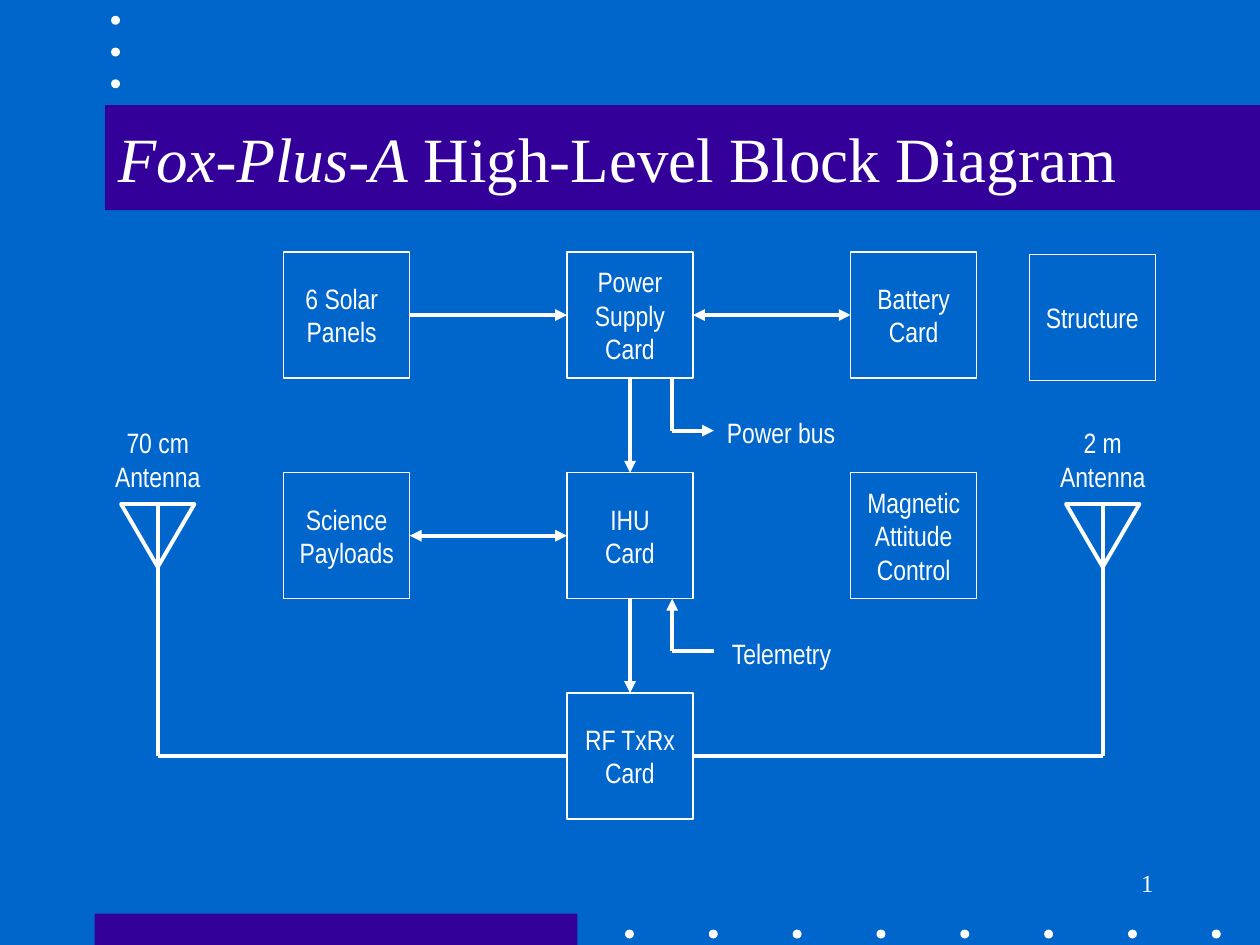
"""Build the Fox-Plus-A high-level block diagram slide."""
from typing import NamedTuple

from lxml import etree
from pptx import Presentation
from pptx.dml.color import RGBColor
from pptx.enum import shapes, text
from pptx.oxml import ns
from pptx.util import Cm, Pt

BLUE = RGBColor(0x00, 0x66, 0xCC)
PURPLE = RGBColor(0x33, 0x00, 0x99)
WHITE = RGBColor(0xFF, 0xFF, 0xFF)
SERIF, NARROW = "Times New Roman", "Arial Narrow"
SIDE = 2.54
COLS = (5.72, 11.43, 17.15)
ROWS = (5.08, 9.53, 13.97)
MID = SIDE / 2
BUS_X, BUS_END = 13.55, 14.39
POWER_Y, TELEMETRY_Y = 8.68, 13.13
RF_Y = ROWS[2] + MID
ANTENNA_TOP = 10.16


class Block(NamedTuple):
    lines: str
    left: float
    top: float
    shift: float = 0


class Link(NamedTuple):
    x1: float
    y1: float
    x2: float
    y2: float
    head: bool = False
    tail: bool = False


class Label(NamedTuple):
    lines: str
    left: float
    top: float
    width: float
    height: float


class Antenna(NamedTuple):
    band: str
    x: float
    card_edge: float


BLOCKS = (
    Block("6 Solar\nPanels", COLS[0], ROWS[0], 0.2),
    Block("Power\nSupply\nCard", COLS[1], ROWS[0]),
    Block("Battery\nCard", COLS[2], ROWS[0]),
    Block("Structure", 20.75, 5.13),
    Block("Science\nPayloads", COLS[0], ROWS[1]),
    Block("IHU\nCard", COLS[1], ROWS[1]),
    Block("Magnetic Attitude\nControl", COLS[2], ROWS[1]),
    Block("RF TxRx\nCard", COLS[1], ROWS[2]),
)
LINKS = (
    Link(COLS[0] + SIDE, ROWS[0] + MID, COLS[1], ROWS[0] + MID, tail=True),
    Link(COLS[1] + SIDE, ROWS[0] + MID, COLS[2], ROWS[0] + MID, True, True),
    Link(COLS[0] + SIDE, ROWS[1] + MID, COLS[1], ROWS[1] + MID, True, True),
    Link(COLS[1] + MID, ROWS[0] + SIDE, COLS[1] + MID, ROWS[1], tail=True),
    Link(COLS[1] + MID, ROWS[1] + SIDE, COLS[1] + MID, ROWS[2], tail=True),
    Link(BUS_X, POWER_Y, BUS_X, ROWS[0] + SIDE),
    Link(BUS_X, POWER_Y, BUS_END, POWER_Y, tail=True),
    Link(BUS_X, TELEMETRY_Y, BUS_X, ROWS[1] + SIDE, tail=True),
    Link(BUS_X, TELEMETRY_Y, BUS_END, TELEMETRY_Y),
)
LABELS = (
    Label("Power bus", 14.4, 8.26, 2.69, 0.94),
    Label("Telemetry", 14.47, 12.7, 2.57, 0.94),
)
ANTENNAS = (
    Antenna("70 cm", 3.18, COLS[1]),
    Antenna("2 m", 22.23, COLS[1] + SIDE),
)


def style(p, size: float, name: str, align) -> None:
    p.alignment = align
    p.font.size, p.font.name = Pt(size), name
    p.font.color.rgb = WHITE


def write(tf, lines: str, wrap: bool) -> None:
    tf.word_wrap = wrap
    tf.text = lines
    for p in tf.paragraphs:
        style(p, 16, NARROW, text.PP_ALIGN.CENTER)


def add_solid(s, kind, left: float, top: float, width: float, height: float, color: RGBColor) -> None:
    sp = s.shapes.add_shape(kind, Cm(left), Cm(top), Cm(width), Cm(height))
    sp.shadow.inherit = False
    sp.fill.solid()
    sp.fill.fore_color.rgb = color
    sp.line.fill.background()


def add_outline(s, kind, left: float, top: float, width: float, height: float, weight: float):
    sp = s.shapes.add_shape(kind, Cm(left), Cm(top), Cm(width), Cm(height))
    sp.shadow.inherit = False
    sp.fill.background()
    sp.line.color.rgb = WHITE
    sp.line.width = Pt(weight)
    return sp


def add_block(s, block: Block) -> None:
    sp = add_outline(s, shapes.MSO_SHAPE.RECTANGLE, block.left, block.top, SIDE, SIDE, 0.75)
    tf = sp.text_frame
    tf.vertical_anchor = text.MSO_ANCHOR.MIDDLE
    tf.margin_left = Cm(0.25 - block.shift / 2)
    tf.margin_right = Cm(0.25 + block.shift / 2)
    write(tf, block.lines, True)


def add_link(s, link: Link) -> None:
    ends = map(Cm, link[:4])
    c = s.shapes.add_connector(shapes.MSO_CONNECTOR.STRAIGHT, *ends)
    c.line.color.rgb = WHITE
    c.line.width = Pt(2.25)
    ln = c.line._get_or_add_ln()
    for tag, shown in (("a:headEnd", link.head), ("a:tailEnd", link.tail)):
        if shown:
            etree.SubElement(ln, ns.qn(tag), type="triangle")
    etree.SubElement(c._element.spPr, ns.qn("a:effectLst"))


def add_label(s, label: Label) -> None:
    sp = s.shapes.add_textbox(*map(Cm, label[1:]))
    write(sp.text_frame, label.lines, False)


def add_antenna(s, antenna: Antenna) -> None:
    x = antenna.x
    add_link(s, Link(x, ANTENNA_TOP, x, RF_Y))
    add_link(s, Link(x, RF_Y, antenna.card_edge, RF_Y))
    sp = add_outline(s, shapes.MSO_SHAPE.ISOSCELES_TRIANGLE, x - 0.74, ANTENNA_TOP, 1.48, 1.27, 2.25)
    sp.rotation = 180
    add_label(s, Label(f"{antenna.band}\nAntenna", x - 1.12, 8.46, 2.24, 1.63))


def add_decoration(s) -> None:
    bar, dot = shapes.MSO_SHAPE.RECTANGLE, shapes.MSO_SHAPE.OVAL
    add_solid(s, bar, 1.91, 18.42, 9.73, 0.63, PURPLE)
    add_solid(s, bar, 2.12, 2.12, 23.28, 2.12, PURPLE)
    for i in range(8):
        add_solid(s, dot, 12.6 + 1.69 * i, 18.74, 0.18, 0.18, WHITE)
    for i in range(3):
        add_solid(s, dot, 2.24, 0.32 + 0.64 * i, 0.18, 0.18, WHITE)


def add_title(s) -> None:
    sp = s.shapes.title
    sp.left, sp.top, sp.width, sp.height = Cm(2.12), Cm(2.12), Cm(21.16), Cm(2.12)
    s.shapes._spTree.append(sp._element)
    tf = sp.text_frame
    tf.auto_size = text.MSO_AUTO_SIZE.NONE
    tf.vertical_anchor = text.MSO_ANCHOR.MIDDLE
    p = tf.paragraphs[0]
    style(p, 36, SERIF, text.PP_ALIGN.LEFT)
    for words, italic in (("Fox-Plus-A", True), (" High-Level Block Diagram", False)):
        r = p.add_run()
        r.text, r.font.italic = words, italic


def add_page_number(s) -> None:
    sp = s.shapes.add_textbox(Cm(18.21), Cm(17.15), Cm(5.29), Cm(1.27))
    tf = sp.text_frame
    tf.word_wrap = True
    tf.vertical_anchor = text.MSO_ANCHOR.MIDDLE
    tf.text = "1"
    style(tf.paragraphs[0], 14, SERIF, text.PP_ALIGN.RIGHT)


def main() -> None:
    prs = Presentation()
    prs.slide_width, prs.slide_height = Cm(25.4), Cm(19.05)
    s = prs.slides.add_slide(prs.slide_layouts[5])
    s.background.fill.solid()
    s.background.fill.fore_color.rgb = BLUE
    add_decoration(s)
    add_title(s)
    add_page_number(s)
    for draw, items in ((add_block, BLOCKS), (add_link, LINKS), (add_label, LABELS), (add_antenna, ANTENNAS)):
        for item in items:
            draw(s, item)
    prs.save("out.pptx")


if __name__ == "__main__":
    main()
